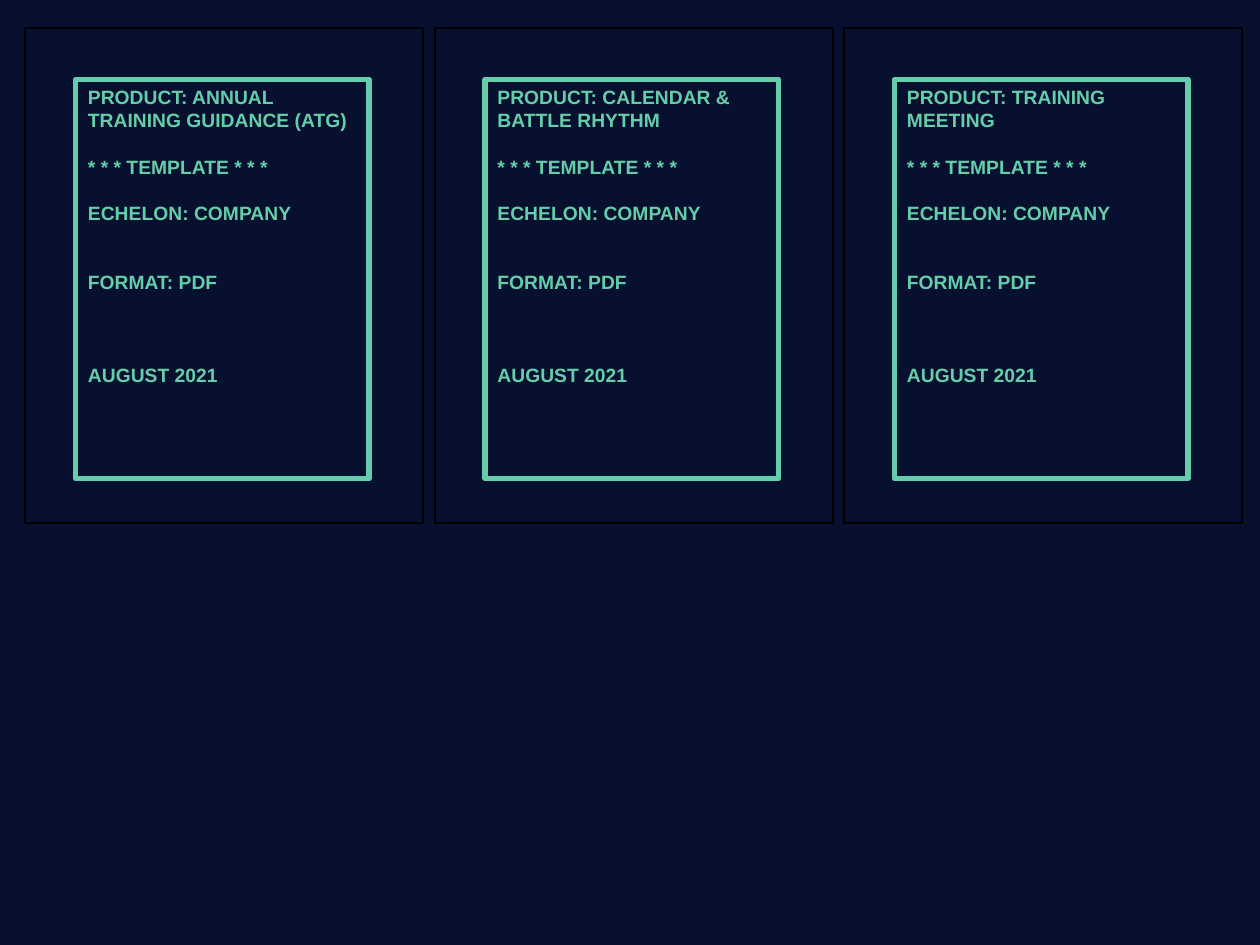
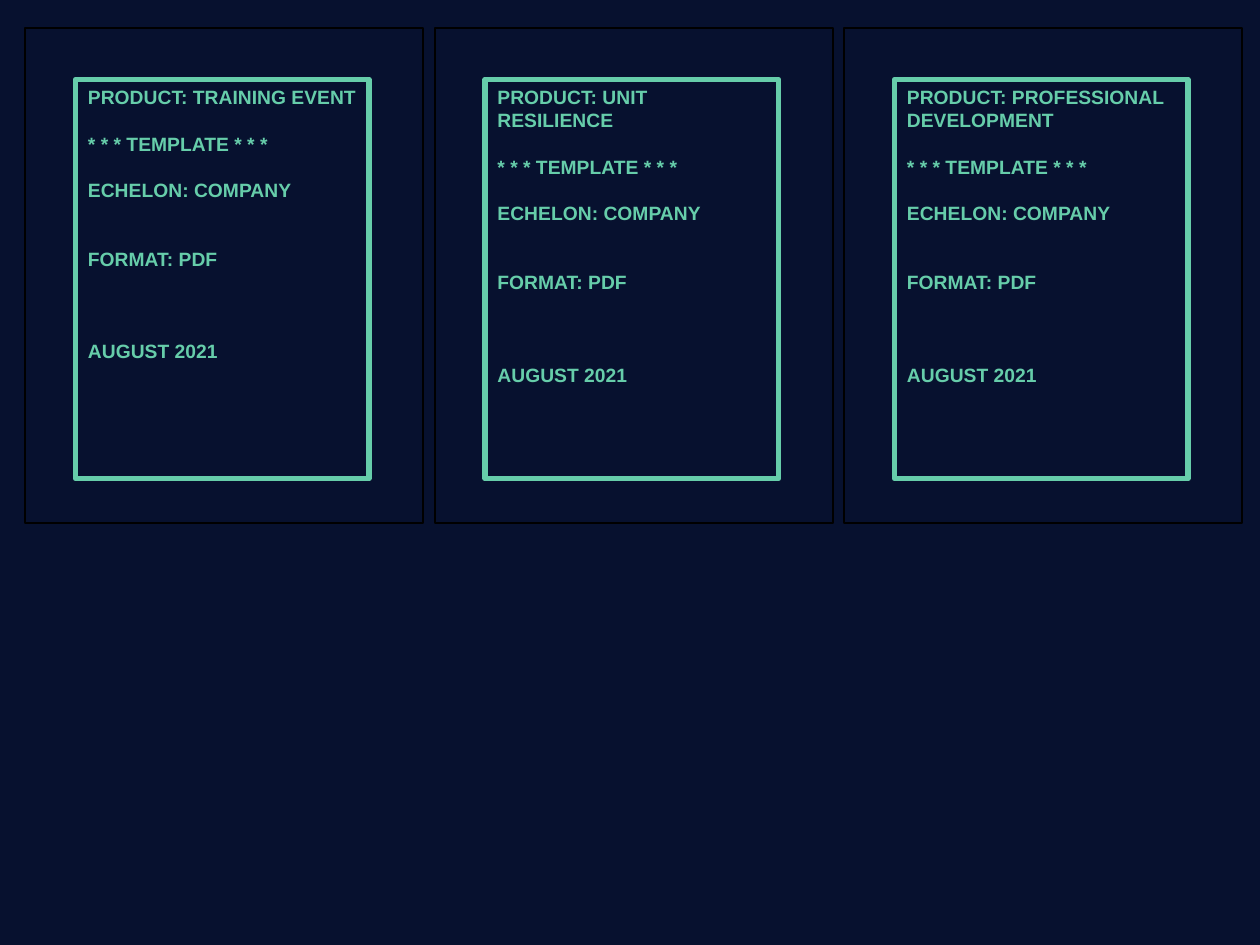
from pptx import Presentation
from pptx.dml.color import RGBColor
from pptx.enum.shapes import MSO_SHAPE
from pptx.enum.text import MSO_ANCHOR, PP_ALIGN
from pptx.util import Inches, Pt

NAVY, AQUAMARINE, BLACK = "07112F", "66CDAA", "000000"
FONT = "Arial"
LINE_HEIGHT = 13.2

CARD_LEFT, CARD_TOP, CARD_PITCH = 0.2, 0.22, 3.25
CARD_WIDTH, CARD_HEIGHT = 3.16, 3.93
LABEL_LEFT, LABEL_TOP = 0.4, 0.41
LABEL_WIDTH, LABEL_HEIGHT = 2.33, 3.17

DETAILS = [
    ("* * * TEMPLATE * * *", 1),
    ("ECHELON: COMPANY", 1),
    ("FORMAT: PDF", 2),
    ("AUGUST 2021", 3),
]
PRODUCTS = [
    ["ANNUAL TRAINING GUIDANCE (ATG)", "CALENDAR & BATTLE RHYTHM", "TRAINING MEETING"],
    ["TRAINING EVENT", "UNIT RESILIENCE", "PROFESSIONAL DEVELOPMENT"],
]


def color(value):
    return RGBColor.from_string(value)


def add_frame(group, left, top, width, height, line, weight):
    frame = group.shapes.add_shape(
        MSO_SHAPE.RECTANGLE, Inches(left), Inches(top), Inches(width), Inches(height)
    )
    frame.shadow.inherit = False
    frame.fill.background()
    frame.line.color.rgb = color(line)
    frame.line.width = Pt(weight)
    return frame


def write(paragraph, text, size=11, bold=True, ink=AQUAMARINE, lines_before=0):
    paragraph.alignment = PP_ALIGN.LEFT
    paragraph.space_before = Pt(lines_before * LINE_HEIGHT)
    run = paragraph.add_run()
    run.text = text
    run.font.name = FONT
    run.font.size = Pt(size)
    run.font.bold = bold
    run.font.color.rgb = color(ink)


def add_card(slide, column, product):
    left = CARD_LEFT + column * CARD_PITCH
    card = slide.shapes.add_group_shape()
    label = add_frame(card, left + LABEL_LEFT, CARD_TOP + LABEL_TOP,
                      LABEL_WIDTH, LABEL_HEIGHT, AQUAMARINE, 3)
    body = label.text_frame
    body.word_wrap = True
    body.vertical_anchor = MSO_ANCHOR.TOP
    body.margin_right = Inches(0.08)
    write(body.paragraphs[0], f"PRODUCT: {product}")
    for text, lines_before in DETAILS:
        write(body.add_paragraph(), text, lines_before=lines_before)
    add_frame(card, left, CARD_TOP, CARD_WIDTH, CARD_HEIGHT, BLACK, 1)


def add_card_slide(deck, products):
    slide = deck.slides.add_slide(deck.slide_layouts[6])
    slide.background.fill.solid()
    slide.background.fill.fore_color.rgb = color(NAVY)
    for column, product in enumerate(products):
        add_card(slide, column, product)


def main():
    deck = Presentation()
    deck.slide_width, deck.slide_height = Inches(10), Inches(7.5)
    for products in PRODUCTS:
        add_card_slide(deck, products)
    deck.save("out.pptx")


main()
